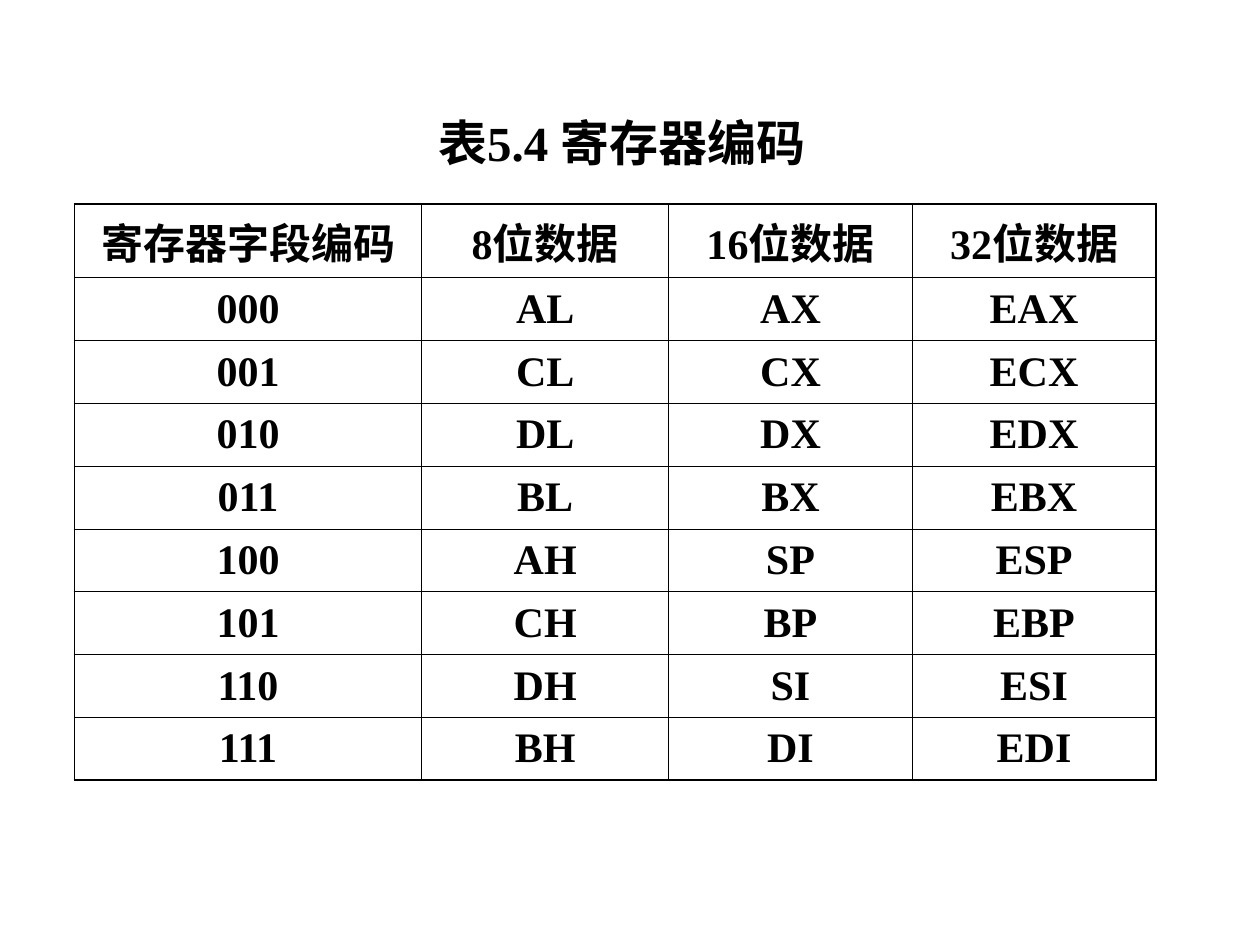
from lxml.etree import SubElement
from pptx import Presentation
from pptx.dml.color import RGBColor
from pptx.enum.text import MSO_ANCHOR as Anchor, MSO_AUTO_SIZE as AutoSize, PP_ALIGN as Align
from pptx.oxml.ns import qn
from pptx.util import Cm, Pt

COLORS = {"ink": "000000", "paper": "FFFFFF"}
FONT = {"name": "Times New Roman", "bold": True}
INSETS = {
    "margin_left": Cm(0.25),
    "margin_right": Cm(0.25),
    "margin_top": Cm(0.13),
    "margin_bottom": Cm(0.13),
}
OUTER, INNER = Pt(1.08), Pt(0.45)
COLUMN_WIDTHS = [7.0, 4.98, 4.91, 4.91]
REGISTERS = [
    ["寄存器字段编码", "8位数据", "16位数据", "32位数据"],
    ["000", "AL", "AX", "EAX"],
    ["001", "CL", "CX", "ECX"],
    ["010", "DL", "DX", "EDX"],
    ["011", "BL", "BX", "EBX"],
    ["100", "AH", "SP", "ESP"],
    ["101", "CH", "BP", "EBP"],
    ["110", "DH", "SI", "ESI"],
    ["111", "BH", "DI", "EDI"],
]


def apply_format(target, values):
    """Set every attribute in values on target."""
    for attribute, value in values.items():
        setattr(target, attribute, value)


def write_centred(frame, text, size):
    """Write one bold centred line into a text frame and return its paragraph."""
    line = frame.paragraphs[0]
    line.alignment = Align.CENTER
    run = line.add_run()
    run.text = text
    apply_format(run.font, {**FONT, "size": Pt(size)})
    run.font.color.rgb = RGBColor.from_string(COLORS["ink"])
    return line


def add_border(cell, side, width):
    """Draw one solid border line of a cell."""
    border = SubElement(cell._tc.get_or_add_tcPr(), qn(f"a:ln{side}"), w=str(width))
    fill = SubElement(border, qn("a:solidFill"))
    SubElement(fill, qn("a:srgbClr"), val=COLORS["ink"])


def build_caption(slide, left, top, width, height):
    """Place the table caption in the subtitle placeholder."""
    caption = slide.placeholders[1]
    apply_format(caption, {"left": left, "top": top, "width": width, "height": height})
    frame = caption.text_frame
    apply_format(frame, {**INSETS, "word_wrap": True, "auto_size": AutoSize.NONE,
                         "vertical_anchor": Anchor.TOP})
    write_centred(frame, "表5.4 寄存器编码", 28).space_before = Pt(7)


def build_register_table(slide, left, top, width, height):
    """Place the register table with a heavier outer frame."""
    last_row, last_column = len(REGISTERS) - 1, len(COLUMN_WIDTHS) - 1
    table = slide.shapes.add_table(
        last_row + 1, last_column + 1, left, top, width, height).table
    apply_format(table, {"first_row": False, "horz_banding": False})
    for column, column_width in zip(table.columns, COLUMN_WIDTHS):
        column.width = Cm(column_width)
    for r, registers in enumerate(REGISTERS):
        for c, register in enumerate(registers):
            cell = table.cell(r, c)
            apply_format(cell, {**INSETS, "vertical_anchor": Anchor.MIDDLE})
            write_centred(cell.text_frame, register, 24)
            on_edge = {"L": c == 0, "R": c == last_column, "T": r == 0, "B": r == last_row}
            for side, outer in on_edge.items():
                add_border(cell, side, OUTER if outer else INNER)
            cell.fill.solid()
            cell.fill.fore_color.rgb = RGBColor.from_string(COLORS["paper"])


def main():
    """Build and save the register encoding slide."""
    deck = Presentation()
    deck.slide_width, deck.slide_height = Cm(25.4), Cm(19.05)
    slide = deck.slides.add_slide(deck.slide_layouts[0])
    title = slide.shapes.title.element
    title.getparent().remove(title)
    build_caption(slide, Cm(0.89), Cm(2.13), Cm(23.29), Cm(1.63))
    build_register_table(slide, Cm(1.5), Cm(4.11), Cm(sum(COLUMN_WIDTHS)), Cm(11.4))
    deck.save("out.pptx")


if __name__ == "__main__":
    main()
